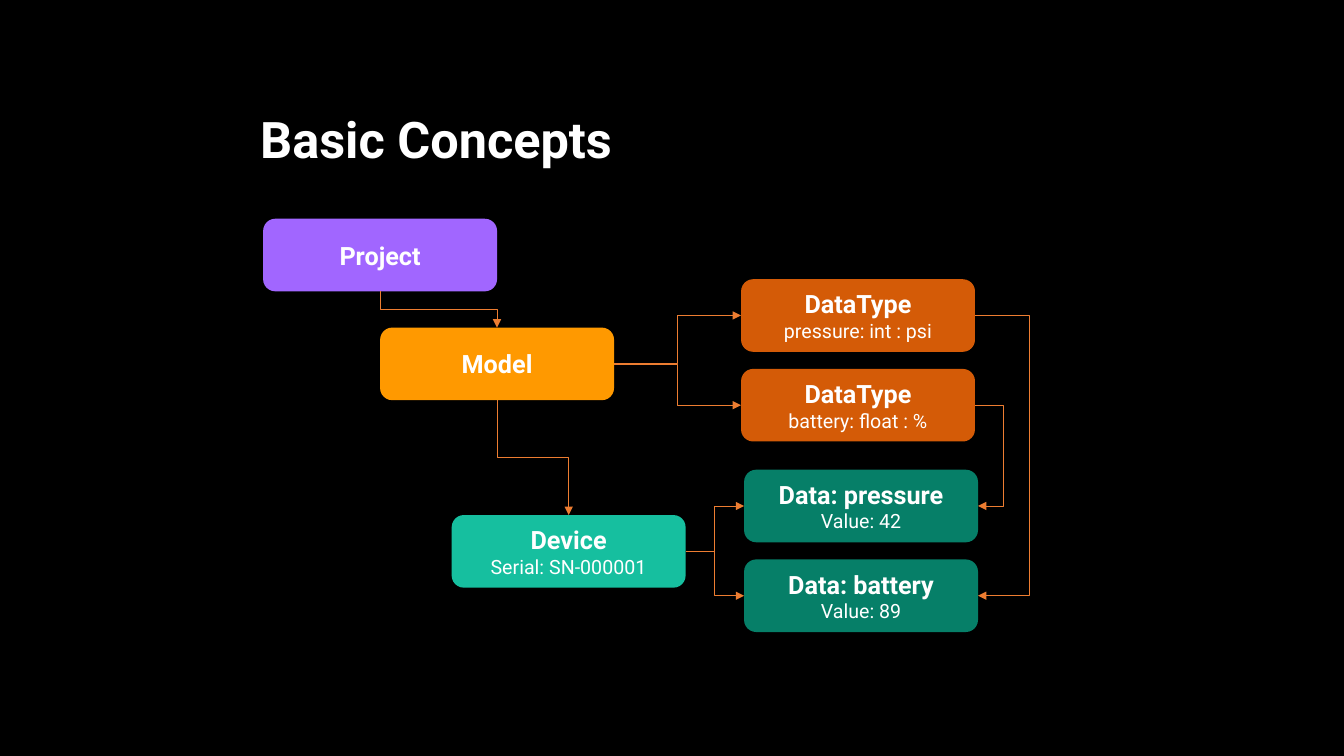
from pptx import Presentation
from pptx.dml.color import RGBColor
from pptx.enum.shapes import MSO_CONNECTOR, MSO_SHAPE
from pptx.enum.text import MSO_ANCHOR, MSO_AUTO_SIZE, PP_ALIGN
from pptx.oxml.ns import qn
from pptx.oxml.xmlchemy import OxmlElement
from pptx.util import Inches, Pt

ROUNDED = MSO_SHAPE.ROUNDED_RECTANGLE
ELBOW = MSO_CONNECTOR.ELBOW
TOP, MIDDLE = MSO_ANCHOR.TOP, MSO_ANCHOR.MIDDLE
LEFT, CENTER = PP_ALIGN.LEFT, PP_ALIGN.CENTER
FIT_SHAPE = MSO_AUTO_SIZE.SHAPE_TO_FIT_TEXT
TITLE_ONLY = 5

COLORS = {
    "background": "000000",
    "text": "FFFFFF",
    "project": "A166FF",
    "model": "FF9900",
    "device": "16BF9F",
    "datatype": "D45B07",
    "data": "067F68",
    "arrow": "ED7D31",
}
BOX_WIDTH, BOX_HEIGHT = 2.32, 0.72
# Connection sites of a rounded rectangle
SITE_TOP, SITE_LEFT, SITE_BOTTOM, SITE_RIGHT = range(4)

# key: left, top, colour, heading, detail
CONCEPTS = {
    "project": (2.61, 2.17, "project", "Project", None),
    "model": (3.77, 3.25, "model", "Model", None),
    "device": (4.48, 5.11, "device", "Device", "Serial: SN-000001"),
    "pressure type": (7.35, 2.77, "datatype", "DataType", "pressure: int : psi"),
    "battery type": (7.35, 3.66, "datatype", "DataType", "battery: float : %"),
    "pressure data": (7.38, 4.66, "data", "Data: pressure", "Value: 42"),
    "battery data": (7.38, 5.55, "data", "Data: battery", "Value: 89"),
}
DOWNWARD = [("project", "model"), ("model", "device")]
BRANCHES = [
    ("model", "pressure type"),
    ("model", "battery type"),
    ("device", "pressure data"),
    ("device", "battery data"),
]
# source, target, x of the vertical run
LOOPS = [
    ("battery type", "pressure data", 9.95),
    ("pressure type", "battery data", 10.21),
]


def rgb(name):
    return RGBColor.from_string(COLORS[name])


def write_line(paragraph, text, size, bold, align):
    paragraph.alignment = align
    run = paragraph.add_run()
    run.text = text
    font_format = {"name": "Roboto", "size": Pt(size), "bold": bold}
    for attribute, value in font_format.items():
        setattr(run.font, attribute, value)
    run.font.color.rgb = rgb("text")


def add_title(slide, text):
    title = slide.shapes.title
    place = {"left": 2.48, "top": 1.02, "width": 3.7, "height": 0.71}
    for attribute, value in place.items():
        setattr(title, attribute, Inches(value))
    frame = title.text_frame
    frame_format = {"word_wrap": False, "auto_size": FIT_SHAPE, "vertical_anchor": TOP}
    for attribute, value in frame_format.items():
        setattr(frame, attribute, value)
    write_line(frame.paragraphs[0], text, 36, True, LEFT)


def add_concept(slide, left, top, color, heading, detail):
    box = slide.shapes.add_shape(
        ROUNDED, Inches(left), Inches(top), Inches(BOX_WIDTH), Inches(BOX_HEIGHT)
    )
    box.shadow.inherit = False
    box.fill.solid()
    box.fill.fore_color.rgb = rgb(color)
    box.line.fill.background()
    frame = box.text_frame
    frame.word_wrap = True
    frame.vertical_anchor = MIDDLE
    write_line(frame.paragraphs[0], heading, 18, True, CENTER)
    if detail:
        write_line(frame.add_paragraph(), detail, 14, False, CENTER)
    return box


def add_arrow(slide, source, source_site, target, target_site):
    """Join two boxes with a thin elbow arrow."""
    arrow = slide.shapes.add_connector(ELBOW, 0, 0, 0, 0)
    arrow.begin_connect(source, source_site)
    arrow.end_connect(target, target_site)
    arrow.line.color.rgb = rgb("arrow")
    arrow.line.width = Pt(0.5)
    head = OxmlElement("a:tailEnd")
    head.set("type", "triangle")
    arrow.line._get_or_add_ln().append(head)
    arrow._element.spPr.append(OxmlElement("a:effectLst"))
    return arrow


def turn_downward(arrow):
    """Rotate the elbow so that it leaves and arrives vertically."""
    width, height = arrow.width, arrow.height
    shift = (width - height) // 2
    arrow.left, arrow.top = arrow.left + shift, arrow.top - shift
    arrow.width, arrow.height = height, width
    xfrm = arrow._element.spPr.find(qn("a:xfrm"))
    xfrm.set("rot", str(270 * 60000))
    xfrm.set("flipH", "1")


def bend_at(arrow, x):
    """Place the vertical run of the elbow at x inches."""
    ratio = (Inches(x) - arrow.begin_x) / (arrow.end_x - arrow.begin_x)
    guide = OxmlElement("a:gd")
    guide.set("name", "adj1")
    guide.set("fmla", f"val {round(ratio * 100000)}")
    geometry = arrow._element.spPr.find(qn("a:prstGeom"))
    geometry.get_or_add_avLst().append(guide)


def main():
    presentation = Presentation()
    presentation.slide_width = Inches(13.33)
    presentation.slide_height = Inches(7.5)
    slide = presentation.slides.add_slide(presentation.slide_layouts[TITLE_ONLY])
    slide.background.fill.solid()
    slide.background.fill.fore_color.rgb = rgb("background")

    add_title(slide, "Basic Concepts")

    # Concept boxes
    boxes = {key: add_concept(slide, *concept) for key, concept in CONCEPTS.items()}

    # Hierarchy from project to device
    for source, target in DOWNWARD:
        turn_downward(
            add_arrow(slide, boxes[source], SITE_BOTTOM, boxes[target], SITE_TOP)
        )

    # Branches to data types and data
    for source, target in BRANCHES:
        add_arrow(slide, boxes[source], SITE_RIGHT, boxes[target], SITE_LEFT)

    # Loops from data types to data
    for source, target, bend in LOOPS:
        loop = add_arrow(slide, boxes[source], SITE_RIGHT, boxes[target], SITE_RIGHT)
        bend_at(loop, bend)

    presentation.save("out.pptx")


if __name__ == "__main__":
    main()
